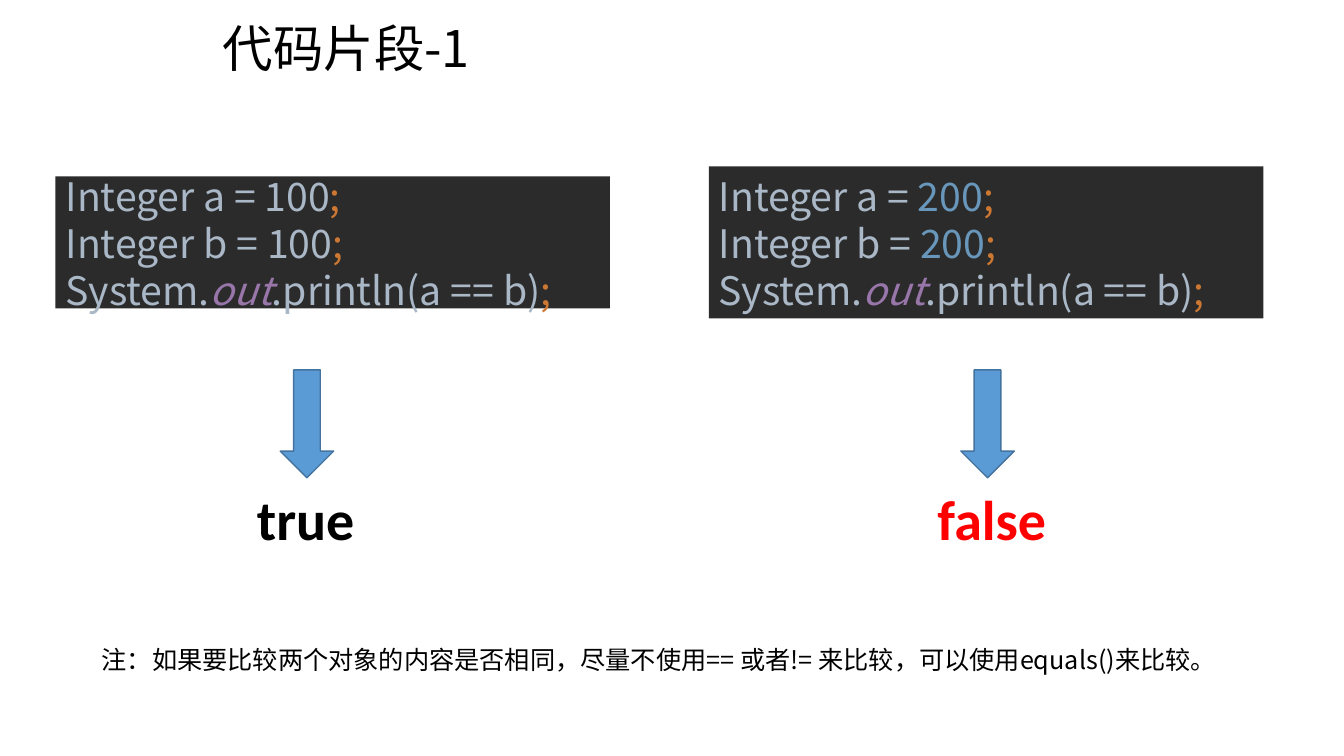
from dataclasses import dataclass

from pptx import Presentation
from pptx.dml.color import RGBColor
from pptx.enum.shapes import MSO_SHAPE
from pptx.enum.text import MSO_ANCHOR, MSO_AUTO_SIZE, PP_ALIGN
from pptx.oxml.ns import qn
from pptx.util import Inches, Pt

DOWN_ARROW, RECTANGLE = MSO_SHAPE.DOWN_ARROW, MSO_SHAPE.RECTANGLE
MIDDLE, TOP = MSO_ANCHOR.MIDDLE, MSO_ANCHOR.TOP
LEFT = PP_ALIGN.LEFT
GROW, FIXED = MSO_AUTO_SIZE.SHAPE_TO_FIT_TEXT, MSO_AUTO_SIZE.NONE
WIDTH, HEIGHT = 13.33, 7.5


@dataclass(frozen=True)
class Theme:
    text_font: str = "Noto Sans CJK SC"
    result_font: str = "Calibri"
    title_size: int = 36
    code_size: int = 28
    result_size: int = 40
    note_size: int = 18
    black: str = "000000"
    red: str = "FF0000"
    panel: str = "2B2B2B"
    plain: str = "A9B7C6"
    number: str = "6897BB"
    symbol: str = "CC7832"
    field: str = "9876AA"
    arrow: str = "5B9BD5"
    arrow_line: str = "43739E"


THEME = Theme()


def place(shape, box):
    shape.left, shape.top, shape.width, shape.height = map(Inches, box)


def add_run(paragraph, text, font=THEME.text_font, size=THEME.note_size,
            color=THEME.black, bold=False, italic=False):
    run = paragraph.add_run()
    run.text = text
    run.font.name, run.font.size = font, Pt(size)
    run.font.bold, run.font.italic = bold, italic
    run.font.color.rgb = RGBColor.from_string(color)
    east_asian = run.font._element.makeelement(qn("a:ea"), {"typeface": font})
    run.font._element.find(qn("a:latin")).addnext(east_asian)


def prepare_text(shape, anchor=TOP, wrap=True, auto_size=GROW, line_spacing=1.0):
    """Set up the text frame and return its left-aligned first paragraph."""
    frame = shape.text_frame
    frame.word_wrap, frame.auto_size, frame.vertical_anchor = wrap, auto_size, anchor
    paragraph = frame.paragraphs[0]
    paragraph.alignment, paragraph.line_spacing = LEFT, line_spacing
    paragraph.space_before = Pt(0)
    return paragraph


def add_label(slide, box, text, **text_format):
    label = slide.shapes.add_textbox(*map(Inches, box))
    add_run(prepare_text(label), text, **text_format)


def fill_title(title, box, text):
    place(title, box)
    paragraph = prepare_text(title, MIDDLE, auto_size=FIXED, line_spacing=0.9)
    add_run(paragraph, text, size=THEME.title_size)


def fill_code(panel, box, value, value_color, margin):
    """Write the comparison of two Integer objects on a dark panel."""
    place(panel, box)
    panel.fill.solid()
    panel.fill.fore_color.rgb = RGBColor.from_string(THEME.panel)
    panel.line.fill.background()
    panel.text_frame.margin_top = panel.text_frame.margin_bottom = Inches(margin)
    paragraph = prepare_text(panel, MIDDLE, wrap=False)
    properties = paragraph._p.get_or_add_pPr()
    properties.set("marL", "0")
    properties.set("indent", "0")
    properties.append(properties.makeelement(qn("a:buNone"), {}))

    def write(text, color=THEME.plain, italic=False):
        add_run(paragraph, text, size=THEME.code_size, color=color, italic=italic)

    for variable in "ab":
        write(f"Integer {variable} = ")
        write(value, value_color)
        write(";", THEME.symbol)
        paragraph.add_line_break()
    write("System.")
    write("out", THEME.field, italic=True)
    write(".println(a == b)")
    write(";", THEME.symbol)


def add_result(slide, box, text, color):
    """Draw a down arrow in the upper part of the box and the result below it."""
    left, top, width, height = box
    arrow_width, arrow_height, label_height = 0.53, 1.07, 0.77
    arrow = slide.shapes.add_shape(DOWN_ARROW, *map(
        Inches, (left + 0.33, top, arrow_width, arrow_height)))
    arrow.shadow.inherit = False
    arrow.fill.solid()
    arrow.fill.fore_color.rgb = RGBColor.from_string(THEME.arrow)
    arrow.line.color.rgb = RGBColor.from_string(THEME.arrow_line)
    arrow.line.width = Pt(1)
    add_label(slide, (left, top + height - label_height, width, label_height), text,
              font=THEME.result_font, size=THEME.result_size, color=color, bold=True)


def build_comparison_slide(presentation):
    slide = presentation.slides.add_slide(presentation.slide_layouts[1])
    title, left_panel = slide.placeholders
    right_panel = slide.shapes.add_shape(RECTANGLE, 0, 0, 0, 0)
    right_panel.shadow.inherit = False

    fill_title(title, (2.11, 0.17, 9.8, 0.68), "代码片段-1")
    fill_code(left_panel, (0.55, 1.7, 5.5, 1.41), "100", THEME.plain, margin=0)
    fill_code(right_panel, (7.03, 1.65, 5.5, 1.51), "200", THEME.number, margin=0.05)
    add_result(slide, (2.45, 3.67, 1.46, 1.86), "true", THEME.black)
    add_result(slide, (9.2, 3.67, 1.46, 1.86), "false", THEME.red)
    add_label(slide, (0.91, 6.34, 11.24, 0.4),
              "注：如果要比较两个对象的内容是否相同，尽量不使用== 或者!= 来比较，"
              "可以使用equals()来比较。")


def main():
    presentation = Presentation()
    presentation.slide_width, presentation.slide_height = Inches(WIDTH), Inches(HEIGHT)
    build_comparison_slide(presentation)
    presentation.save("out.pptx")


if __name__ == "__main__":
    main()
